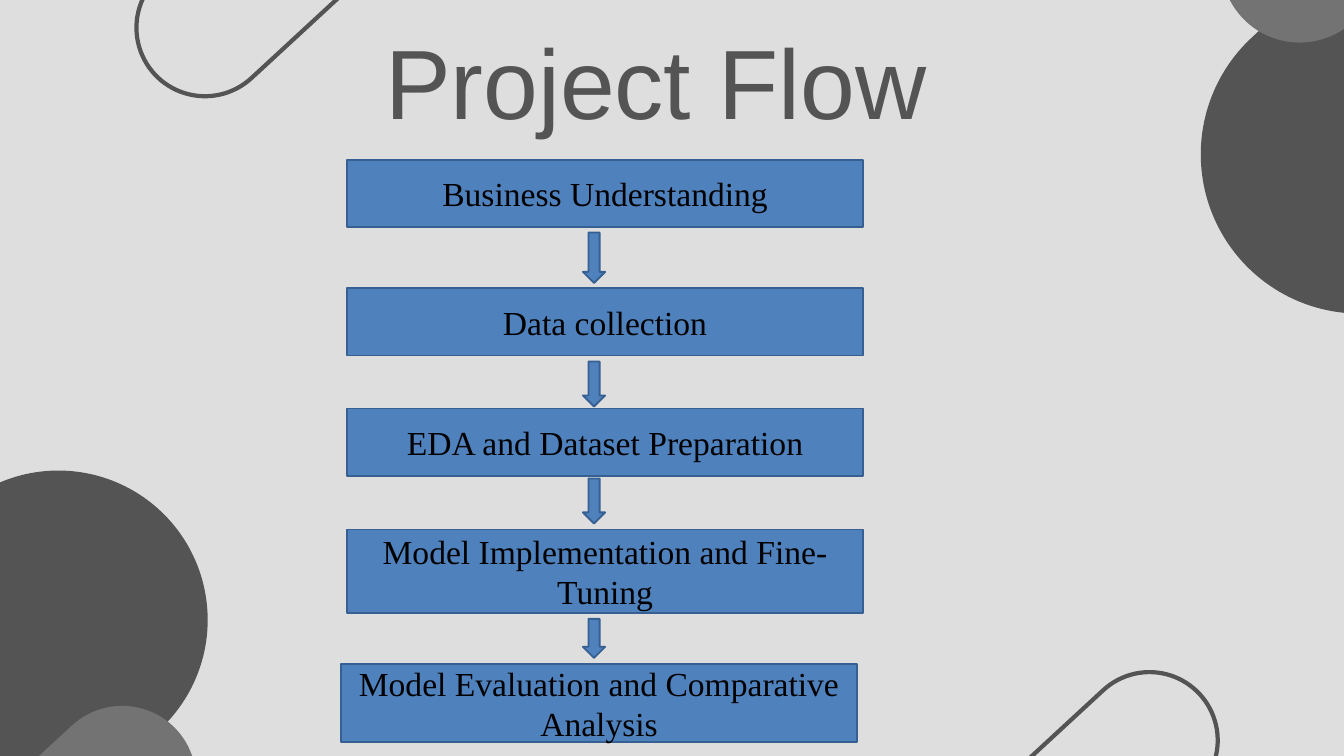
"""Build the Project Flow slide: five stages joined by block arrows."""
from pptx import Presentation
from pptx.dml.color import RGBColor
from pptx.enum import shapes, text
from pptx.util import Inches, Pt

TITLE = "Project Flow"
STAGES = [
    ("Business Understanding", 5.17, 2.38, 1),
    ("Data collection", 5.17, 4.29, 1),
    ("EDA and Dataset Preparation", 5.17, 6.08, 1),
    ("Model Implementation and Fine-Tuning", 5.17, 7.88, 1.24),
    ("Model Evaluation and Comparative Analysis", 5.08, 9.88, 1.16),
]
ARROWS = [(3.46, 0.75), (5.38, 0.67), (7.12, 0.67), (9.21, 0.58)]
CAPSULES = [
    (-5.21, 8.51, 8.89, "dark", None),
    (-1.19, 11.25, 4.4, "mid", None),
    (17.24, -1.68, 9.48, "dark", None),
    (17.86, -2.5, 4.68, "mid", None),
    (14.33, 10.69, 4.06, None, "dark"),
    (1.76, -1.3, 4.08, None, "dark"),
]
COLOURS = {
    "background": "DEDEDE",
    "dark": "545454",
    "mid": "737373",
    "blue": "4F81BD",
    "edge": "376092",
    "black": "000000",
}
STAGE_WIDTH = 7.67
ARROW_CENTRE, ARROW_WIDTH = 8.84, 0.33
CAPSULE_ANGLE = 317.3


def colour(name):
    return RGBColor.from_string(COLOURS[name])


def add_block(slide, preset, box, fill, line, line_width):
    block = slide.shapes.add_shape(preset, *map(Inches, box))
    block.shadow.inherit = False
    if fill:
        block.fill.solid()
        block.fill.fore_color.rgb = colour(fill)
    else:
        block.fill.background()
    if line:
        block.line.color.rgb = colour(line)
        block.line.width = Pt(line_width)
    else:
        block.line.fill.background()
    return block


def write(frame, words, font_name, size, ink):
    frame.word_wrap = True
    paragraph = frame.paragraphs[0]
    paragraph.text = words
    paragraph.alignment = text.PP_ALIGN.CENTER
    paragraph.font.name = font_name
    paragraph.font.size = Pt(size)
    paragraph.font.color.rgb = colour(ink)
    return paragraph


def add_title(slide):
    box = (2.16, 0.82, 15.2, 1.33)
    frame = slide.shapes.add_textbox(*map(Inches, box)).text_frame
    frame.margin_left = frame.margin_right = 0
    frame.margin_top = frame.margin_bottom = 0
    heading = write(frame, TITLE, "Arial", 105.5, "dark")
    heading.line_spacing = Pt(89.7)


def main():
    deck = Presentation()
    deck.slide_width, deck.slide_height = Inches(20), Inches(11.25)
    slide = deck.slides.add_slide(deck.slide_layouts[6])
    slide.background.fill.solid()
    slide.background.fill.fore_color.rgb = colour("background")

    for left, top, length, fill, line in CAPSULES:
        capsule = add_block(slide, shapes.MSO_SHAPE.ROUNDED_RECTANGLE,
                            (left, top, length, length / 2), fill, line, 4.5)
        capsule.adjustments[0] = 0.5
        capsule.rotation = CAPSULE_ANGLE

    add_title(slide)

    for words, left, top, height in STAGES:
        stage = add_block(slide, shapes.MSO_SHAPE.FLOWCHART_PROCESS,
                          (left, top, STAGE_WIDTH, height), "blue", "edge", 2)
        stage.text_frame.vertical_anchor = text.MSO_ANCHOR.MIDDLE
        write(stage.text_frame, words, "Times New Roman", 36, "black")

    for top, height in ARROWS:
        add_block(slide, shapes.MSO_SHAPE.DOWN_ARROW,
                  (ARROW_CENTRE - ARROW_WIDTH / 2, top, ARROW_WIDTH, height),
                  "blue", "edge", 2)

    deck.save("out.pptx")


if __name__ == "__main__":
    main()
